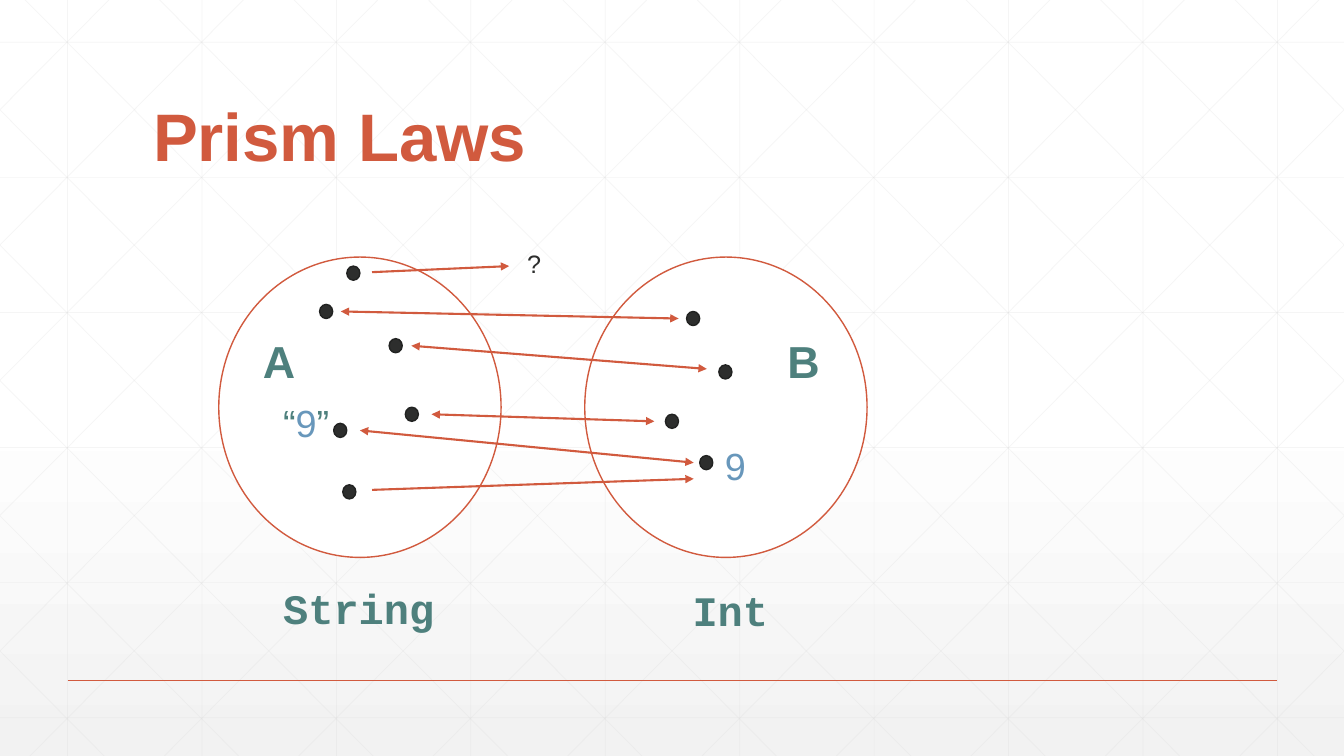
from copy import deepcopy

from lxml.etree import SubElement
from pptx import Presentation
from pptx.dml.color import RGBColor
from pptx.enum.shapes import MSO_CONNECTOR, MSO_SHAPE
from pptx.enum.text import MSO_ANCHOR, MSO_AUTO_SIZE
from pptx.oxml.ns import qn
from pptx.util import Inches, Pt

WIDTH, HEIGHT = 13.33, 7.5
GRID_STEP = 4 / 3
DIAGONAL_RUN = 7.45

WHITE = RGBColor(0xFF, 0xFF, 0xFF)
PALE = RGBColor(0xF2, 0xF2, 0xF2)
GRID = RGBColor(0xD9, 0xD9, 0xD9)
RUST = RGBColor(0xD1, 0x5A, 0x3E)
TEAL = RGBColor(0x4E, 0x80, 0x7D)
BLUE = RGBColor(0x68, 0x97, 0xBB)
DARK = RGBColor(0x2D, 0x2E, 0x2D)
DOT_EDGE = RGBColor(0x21, 0x22, 0x21)

SET_LEFTS = [2.17, 5.8]
DOTS = [
    (3.17, 3.02), (3.86, 3.36), (3.31, 4.2), (4.02, 4.04), (3.44, 2.64), (3.4, 4.81),
    (6.81, 3.09), (7.13, 3.62), (6.94, 4.52), (6.6, 4.11),
]
TWO_WAY = [
    (3.38, 3.09, 6.73, 3.16),
    (4.08, 3.43, 7.01, 3.66),
    (4.28, 4.11, 6.49, 4.18),
    (3.57, 4.27, 6.88, 4.59),
]
ONE_WAY = [(3.69, 2.7, 5.05, 2.64), (3.69, 4.86, 6.88, 4.75)]


def set_background(s):
    """Fill the slide with a vertical three-stop gradient."""
    fill = s.background.fill
    fill.gradient()
    fill.gradient_angle = 270
    stop_list = s.element.find(".//" + qn("a:gsLst"))
    stop_list.insert(1, deepcopy(stop_list[0]))
    stops = [(0, WHITE), (0.53, WHITE), (1, PALE)]
    for stop, (position, color) in zip(fill.gradient_stops, stops):
        stop.position = position
        stop.color.rgb = color


def add_line(s, x1, y1, x2, y2, color=RUST, width=1, alpha=None, ends=()):
    """Draw a straight line with optional opacity and arrowheads."""
    c = s.shapes.add_connector(
        MSO_CONNECTOR.STRAIGHT, Inches(x1), Inches(y1), Inches(x2), Inches(y2))
    c.line.color.rgb = color
    c.line.width = Pt(width)
    sp_pr = c.element.spPr
    ln = sp_pr.find(qn("a:ln"))
    if alpha is not None:
        rgb = ln.find(".//" + qn("a:srgbClr"))
        SubElement(rgb, qn("a:alpha")).set("val", str(alpha * 1000))
    for end in ends:
        SubElement(ln, qn(end)).set("type", "triangle")
    SubElement(sp_pr, qn("a:effectLst"))


def add_grid(s):
    """Draw the faint square grid and its mirrored diagonals."""
    style = dict(color=GRID, width=0.5, alpha=25)
    for i in range(10):
        x = 0.67 + i * GRID_STEP
        add_line(s, x, 0, x, HEIGHT, **style)
    for i in range(6):
        y = 0.42 + i * 1.34
        add_line(s, 0, y, WIDTH, y, **style)
    slope = HEIGHT / DIAGONAL_RUN
    for i in range(-5, 10):
        top = 0.25 + i * GRID_STEP
        x1, x2 = max(0, top), min(WIDTH, top + DIAGONAL_RUN)
        y1, y2 = (x1 - top) * slope, (x2 - top) * slope
        add_line(s, x1, y1, x2, y2, **style)
        add_line(s, WIDTH - x1, y1, WIDTH - x2, y2, **style)


def add_ellipse(s, left, top, width, height, fill, edge):
    """Draw a filled ellipse with a thin outline."""
    sp = s.shapes.add_shape(
        MSO_SHAPE.OVAL, Inches(left), Inches(top), Inches(width), Inches(height))
    sp.shadow.inherit = False
    sp.fill.solid()
    sp.fill.fore_color.rgb = fill
    sp.line.color.rgb = edge
    sp.line.width = Pt(1)


def add_run(p, text, size=18, color=TEAL, font="Arial", bold=False):
    """Append formatted text to a paragraph."""
    r = p.add_run()
    r.text = text
    r.font.size = Pt(size)
    r.font.name = font
    r.font.bold = bold
    r.font.color.rgb = color


def add_box(s, left, top, width, height, wrap=True, grow=True):
    """Add a text box and return its text frame."""
    sp = s.shapes.add_textbox(Inches(left), Inches(top), Inches(width), Inches(height))
    tf = sp.text_frame
    tf.word_wrap = wrap
    tf.auto_size = MSO_AUTO_SIZE.SHAPE_TO_FIT_TEXT if grow else MSO_AUTO_SIZE.NONE
    return tf


def add_title(s, text):
    """Add the bottom-anchored slide title."""
    tf = add_box(s, 1.42, 0.55, 10.5, 1.25, grow=False)
    tf.vertical_anchor = MSO_ANCHOR.BOTTOM
    p = tf.paragraphs[0]
    p.line_spacing = 0.9
    add_run(p, text, size=48, color=RUST, bold=True)


def add_label(s, text, left, top, width, height, wrap=True, **style):
    """Add a one-run label."""
    tf = add_box(s, left, top, width, height, wrap)
    add_run(tf.paragraphs[0], text, **style)


def add_labels(s):
    """Add the names of the sets, their types and the sample values."""
    add_label(s, "?", 5.13, 2.41, 0.35, 0.4, color=DARK)
    type_style = dict(size=30, font="Courier New", bold=True)
    add_label(s, "Int", 6.77, 5.75, 0.99, 0.61, **type_style)
    add_label(s, "String", 2.71, 5.73, 1.73, 0.61, **type_style)
    for name, left in [("A", 2.51), ("B", 7.71)]:
        add_label(s, name, left, 3.26, 0.52, 0.64, size=32, bold=True)
    quoted = add_box(s, 2.71, 3.92, 0.67, 0.56, wrap=False).paragraphs[0]
    for text, color in [("“", TEAL), ("9", BLUE), ("”", TEAL)]:
        add_run(quoted, text, size=27, color=color)
    add_label(s, "9", 7.09, 4.34, 0.41, 0.56, wrap=False, size=27, color=BLUE)


def main():
    """Build the slide and save it."""
    prs = Presentation()
    prs.slide_width, prs.slide_height = Inches(WIDTH), Inches(HEIGHT)
    s = prs.slides.add_slide(prs.slide_layouts[6])
    set_background(s)
    add_grid(s)
    add_line(s, 0.67, 6.75, 12.67, 6.75)
    add_title(s, "Prism Laws")
    for left in SET_LEFTS:
        add_ellipse(s, left, 2.55, 2.8, 2.98, WHITE, RUST)
    for left, top in DOTS:
        add_ellipse(s, left, top, 0.13, 0.14, DARK, DOT_EDGE)
    for points in TWO_WAY:
        add_line(s, *points, width=1.5, ends=("a:headEnd", "a:tailEnd"))
    for points in ONE_WAY:
        add_line(s, *points, width=1.5, ends=("a:tailEnd",))
    add_labels(s)
    prs.save("out.pptx")


if __name__ == "__main__":
    main()
